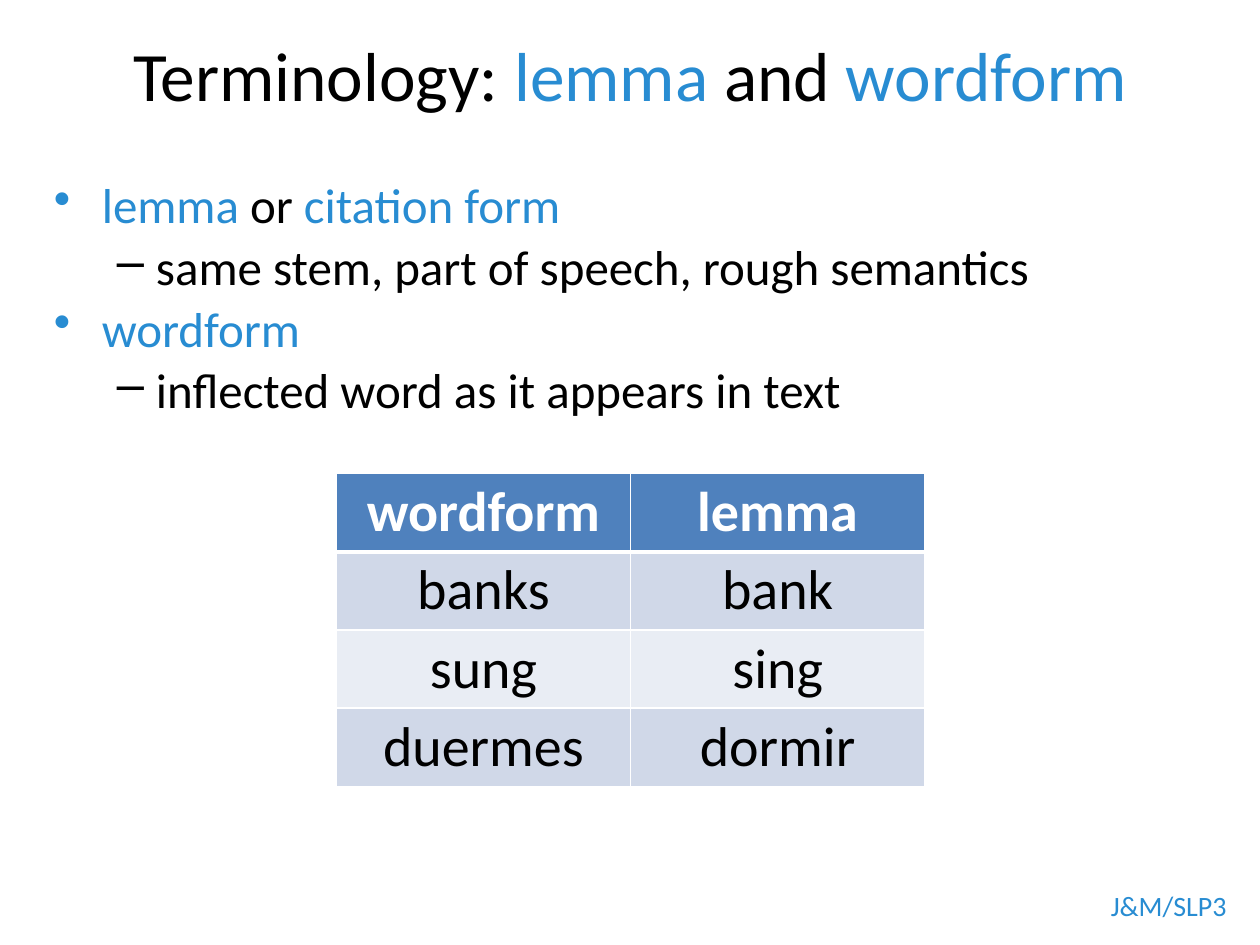
from lxml.etree import SubElement
from pptx import Presentation
from pptx.dml.color import RGBColor
from pptx.enum.text import MSO_ANCHOR, PP_ALIGN
from pptx.oxml.ns import qn
from pptx.util import Inches, Pt

BLACK, WHITE, BLUE = "000000", "FFFFFF", "288CD2"
HEADER, BAND_DARK, BAND_LIGHT = "4F81BD", "D0D8E8", "E9EDF4"

deck = Presentation()
deck.slide_width, deck.slide_height = Inches(10), Inches(7.5)
slide = deck.slides.add_slide(deck.slide_layouts[6])


def add_frame(left, top, width, height):
    box = slide.shapes.add_textbox(*map(Inches, (left, top, width, height)))
    box.text_frame.word_wrap = True
    return box.text_frame


def write(paragraph, size, runs, bold=False):
    paragraph.font.size, paragraph.font.name = Pt(size), "Calibri"
    paragraph.font.bold = bold
    for text, color in runs:
        run = paragraph.add_run()
        run.text = text
        run.font.color.rgb = RGBColor.from_string(color)


# Title
title = add_frame(0.5, 0.19, 9, 0.79)
title.vertical_anchor = MSO_ANCHOR.MIDDLE
title.paragraphs[0].alignment = PP_ALIGN.CENTER
write(title.paragraphs[0], 39.6, [("Terminology: ", BLACK), ("lemma", BLUE),
                                  (" and ", BLACK), ("wordform", BLUE)])

# Definitions: each term with its explanation one level down
definitions = [
    (0, [("lemma ", BLUE), ("or ", BLACK), ("citation form", BLUE)]),
    (1, [("same stem, part of speech, rough semantics", BLACK)]),
    (0, [("wordform", BLUE)]),
    (1, [("inflected word as it appears in text", BLACK)]),
]
bullets = [("•", 0.38, 0.38), ("–", 0.81, 0.31)]
body = add_frame(0.33, 1.39, 9.33, 5.81)
for index, (level, runs) in enumerate(definitions):
    paragraph = body.add_paragraph() if index else body.paragraphs[0]
    mark, margin, hanging = bullets[level]
    properties = paragraph._p.get_or_add_pPr()
    properties.set("marL", str(Inches(margin)))
    properties.set("indent", str(-Inches(hanging)))
    SubElement(properties, qn("a:buChar"), char=mark)
    paragraph.level = level
    paragraph.line_spacing = 0.9
    if index:
        paragraph.space_before = Pt(5)
    write(paragraph, 28, runs)

# Table of wordforms and their lemmas
word_pairs = [("wordform", "lemma"), ("banks", "bank"),
              ("sung", "sing"), ("duermes", "dormir")]
table = slide.shapes.add_table(len(word_pairs), 2, Inches(2.67), Inches(3.76),
                               Inches(4.67), Inches(2.45)).table
for row, pair in enumerate(word_pairs):
    is_header = row == 0
    fill = HEADER if is_header else BAND_DARK if row % 2 else BAND_LIGHT
    for column, word in enumerate(pair):
        cell = table.cell(row, column)
        cell.margin_left = cell.margin_right = Inches(0.1)
        cell.margin_top = cell.margin_bottom = Inches(0.07)
        paragraph = cell.text_frame.paragraphs[0]
        paragraph.alignment = PP_ALIGN.CENTER
        paragraph.line_spacing = 0.9
        write(paragraph, 32, [(word, WHITE if is_header else BLACK)], is_header)

        # White borders, thicker between header and body; they precede the fill
        cell_properties = cell._tc.get_or_add_tcPr()
        for side in "LRTB":
            thick = (row, side) in ((0, "B"), (1, "T"))
            border = SubElement(cell_properties, qn(f"a:ln{side}"),
                                w=str(Pt(3 if thick else 1)))
            SubElement(SubElement(border, qn("a:solidFill")),
                       qn("a:srgbClr"), val=WHITE)
        cell.fill.solid()
        cell.fill.fore_color.rgb = RGBColor.from_string(fill)

# Source credit in the bottom right corner
credit = add_frame(8.55, 7, 1.45, 0.5)
credit.paragraphs[0].alignment = PP_ALIGN.CENTER
write(credit.paragraphs[0], 16, [("J&M/SLP3", BLUE)])

deck.save("out.pptx")
